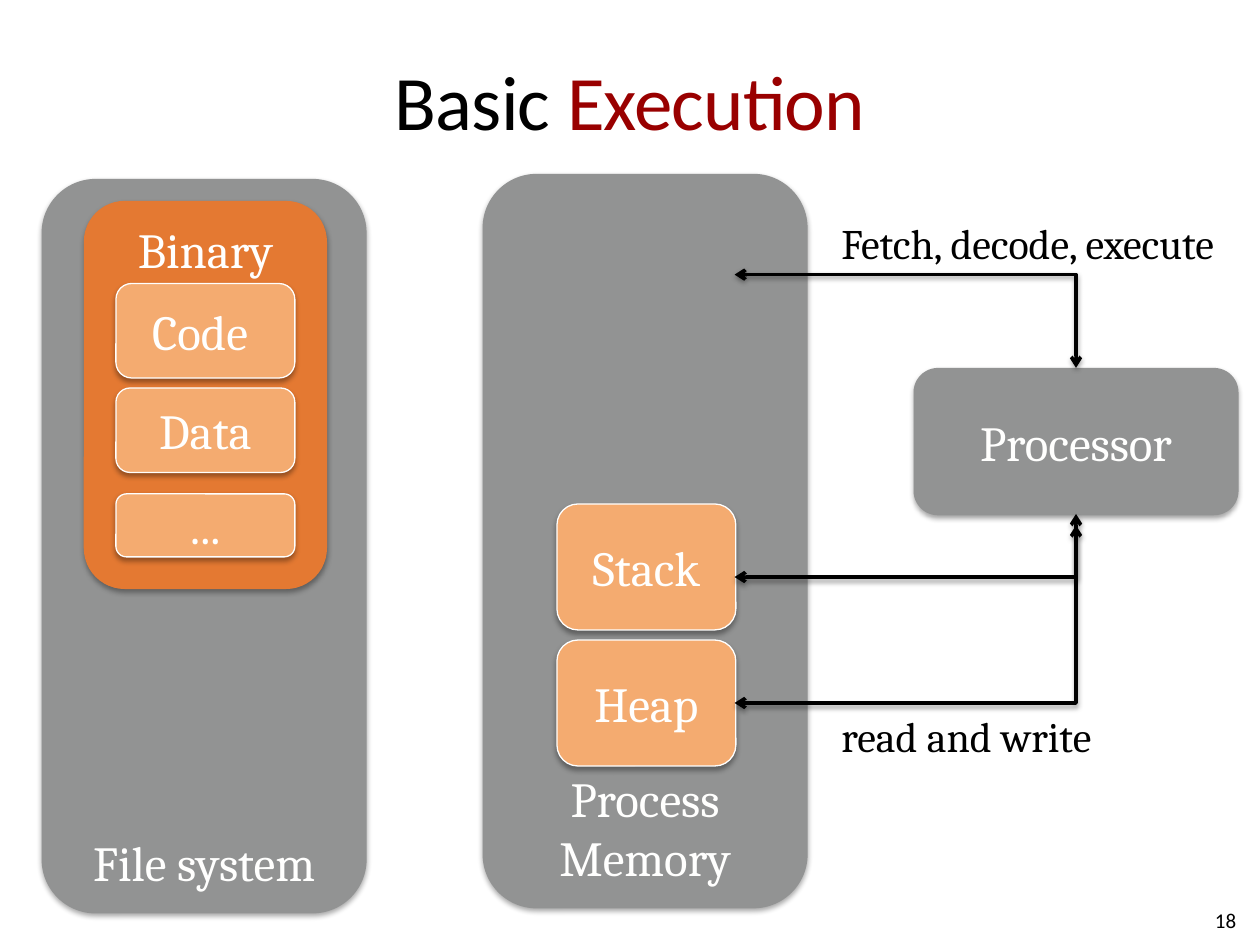
import pptx
import pptx.util
import pptx.dml.color
import pptx.enum.shapes
import pptx.enum.text
import pptx.oxml
import pptx.oxml.ns

Inches = pptx.util.Inches
Pt = pptx.util.Pt
ALIGN = pptx.enum.text.PP_ALIGN
ANCHOR = pptx.enum.text.MSO_ANCHOR

COLORS = {
    "gray": "929393", "orange": "E47932", "peach": "F4AB70",
    "white": "FFFFFE", "black": "000000", "red": "990000",
}


def rgb(name):
    return pptx.dml.color.RGBColor.from_string(COLORS[name])


def shade(shape, alpha, dist):
    """Give a shape or connector a soft shadow straight below it."""
    ns = pptx.oxml.ns.nsdecls("a")
    shape._element.spPr.append(pptx.oxml.parse_xml(
        f'<a:effectLst {ns}><a:outerShdw blurRad="{Pt(3.1)}" dist="{Pt(dist)}" '
        f'dir="5400000" rotWithShape="0"><a:srgbClr val="{COLORS["black"]}">'
        f'<a:alpha val="{alpha * 1000}"/></a:srgbClr></a:outerShdw></a:effectLst>'))


def write(shape, *parts, size=28, font="Cambria", align=ALIGN.CENTER,
          anchor=ANCHOR.MIDDLE, wrap=True, space=None):
    """Write (text, color) parts as one paragraph."""
    frame = shape.text_frame
    frame.word_wrap = wrap
    frame.vertical_anchor = anchor
    para = frame.paragraphs[0]
    para.alignment = align
    para.font.size = Pt(size)
    for text, color in parts:
        for i, line in enumerate(text.split("\n")):
            if i:
                para.add_line_break()
            run = para.add_run()
            run.text = line
            run.font.size = Pt(size)
            run.font.name = font
            run.font.color.rgb = rgb(color)
            if space is not None:
                run._r.get_or_add_rPr().set("spc", str(space))


def block(slide, text, x, y, w, h, fill="gray", line=None, anchor=ANCHOR.MIDDLE):
    """Draw a rounded, shadowed block with a white label."""
    shape = slide.shapes.add_shape(
        pptx.enum.shapes.MSO_SHAPE.ROUNDED_RECTANGLE,
        Inches(x), Inches(y), Inches(w), Inches(h))
    shape.fill.solid()
    shape.fill.fore_color.rgb = rgb(fill)
    if line:
        shape.line.color.rgb = rgb(line)
        shape.line.width = Pt(0.75)
    else:
        shape.line.fill.background()
    shade(shape, 35, 1.8)
    write(shape, (text, "white"), anchor=anchor)


def label(slide, text, x, y, w, h, **style):
    box = slide.shapes.add_textbox(Inches(x), Inches(y), Inches(w), Inches(h))
    write(box, (text, "black"), **style)


def link(slide, x1, y1, x2, y2):
    """Draw a one-bend connector with an arrowhead at each end."""
    wire = slide.shapes.add_connector(
        pptx.enum.shapes.MSO_CONNECTOR.ELBOW,
        Inches(x1), Inches(y1), Inches(x2), Inches(y2))
    wire._element.spPr.prstGeom.set("prst", "bentConnector2")
    wire.line.color.rgb = rgb("black")
    wire.line.width = Pt(2)
    ns = pptx.oxml.ns.nsdecls("a")
    for end in ("headEnd", "tailEnd"):
        wire.line._get_or_add_ln().append(
            pptx.oxml.parse_xml(f'<a:{end} {ns} type="arrow"/>'))
    shade(wire, 38, 1.6)


def head(slide):
    title = slide.shapes.title
    title.left, title.top = Inches(0.5), Inches(0.17)
    title.width, title.height = Inches(9), Inches(1.25)
    title.text_frame.margin_left = title.text_frame.margin_right = 0
    write(title, ("Basic", "black"), (" Execution", "red"),
          size=44, font="Calibri", space=-50)


def main():
    deck = pptx.Presentation()
    deck.slide_width, deck.slide_height = Inches(10), Inches(7.5)
    slide = deck.slides.add_slide(deck.slide_layouts[5])

    # Containers
    block(slide, "Process\nMemory", 3.83, 1.38, 2.58, 5.83, anchor=ANCHOR.BOTTOM)
    block(slide, "File system", 0.33, 1.42, 2.58, 5.83, anchor=ANCHOR.BOTTOM)

    # Title and page number
    head(slide)
    label(slide, "18", 7.58, 7.1, 2.33, 0.4,
          size=12, font="Calibri", align=ALIGN.RIGHT)

    # Binary and its sections, then memory regions
    block(slide, "Binary", 0.67, 1.6, 1.92, 3.07, "orange", "orange", ANCHOR.TOP)
    for text, x, y, h in (
            ("Code ", 0.92, 2.25, 0.75), ("Data", 0.92, 3.08, 0.67),
            ("...", 0.92, 3.92, 0.5),
            ("Stack", 4.42, 4, 1), ("Heap", 4.42, 5.08, 1)):
        block(slide, text, x, y, 1.42, h, "peach", "white")

    # Processor and its links to memory
    block(slide, "Processor", 7.25, 2.92, 2.58, 1.17)
    for start, end in ((2.18, 2.92), (4.58, 4.17), (5.58, 4.08)):
        link(slide, 5.83, start, 8.54, end)
    for text, y, w in (("Fetch, decode, execute", 1.68, 3.41),
                       ("read and write", 5.59, 2.31)):
        label(slide, text, 6.58, y, w, 0.5, size=24, align=ALIGN.LEFT,
              anchor=ANCHOR.TOP, wrap=False)

    deck.save("out.pptx")


if __name__ == "__main__":
    main()
